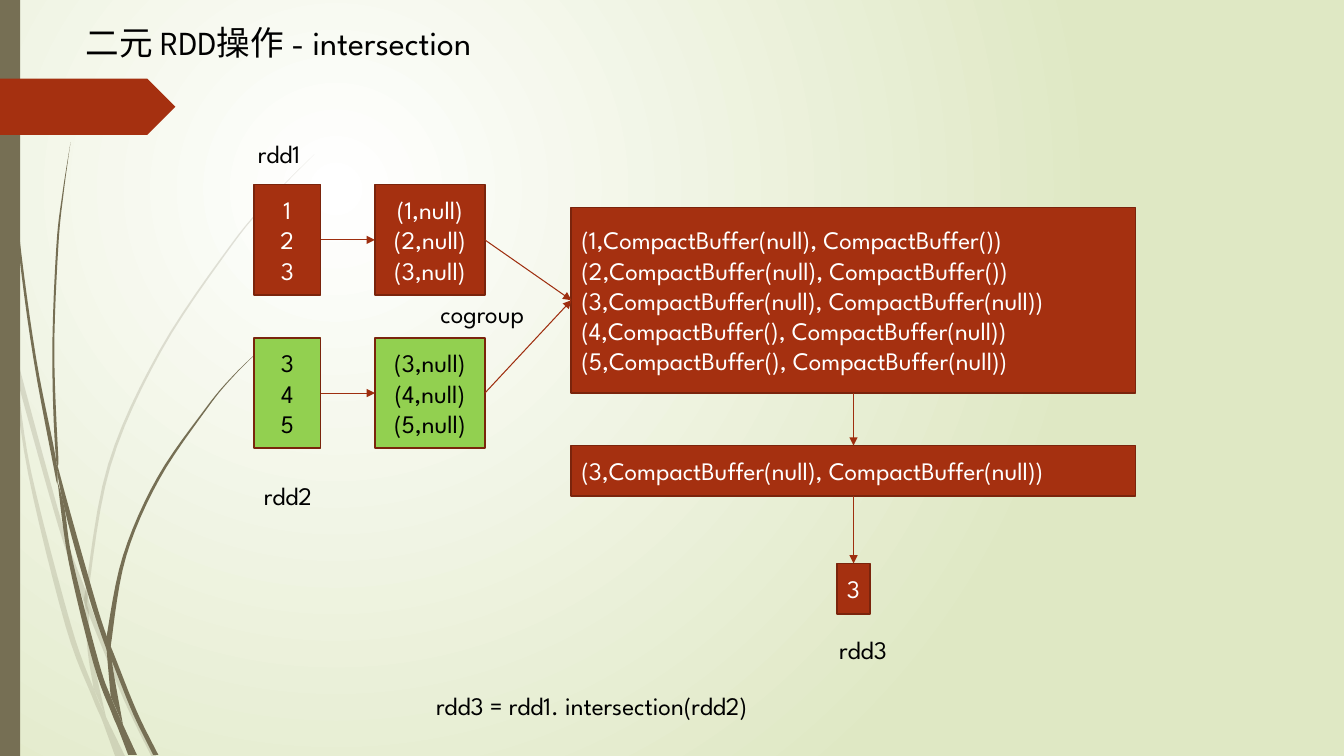
from lxml import etree
from pptx import Presentation
from pptx.dml.color import RGBColor
from pptx.enum.shapes import MSO_CONNECTOR, MSO_SHAPE
from pptx.enum.text import MSO_ANCHOR, MSO_AUTO_SIZE, PP_ALIGN
from pptx.oxml.ns import qn
from pptx.util import Cm, Pt

STRAIGHT = MSO_CONNECTOR.STRAIGHT
RECTANGLE, PENTAGON = MSO_SHAPE.RECTANGLE, MSO_SHAPE.PENTAGON
TOP, MIDDLE = MSO_ANCHOR.TOP, MSO_ANCHOR.MIDDLE
LEFT, CENTER = PP_ALIGN.LEFT, PP_ALIGN.CENTER
NO_FIT = MSO_AUTO_SIZE.NONE
TOP_SIDE, LEFT_SIDE, BOTTOM_SIDE, RIGHT_SIDE = range(4)

COLORS = {
    "white": "FFFFFF", "black": "000000", "meadow": "DFE8C4", "stem": "766F54",
    "rust": "A53010", "edge": "7A240C", "arrow": "9E2E0F", "green": "92D050",
}

PALE_STEMS = [
    ([(0, 7.16), (0.36, 8.76), (1.57, 13.21), (2.16, 14.88), (2.34, 15.42),
      (3.23, 17.58), (3.94, 19.05)],
     [(3.81, 19.05), (3.12, 17.63), (2.24, 15.49), (2.13, 15.21), (1.47, 13.26),
      (0.43, 9.55), (0.25, 8.74), (0, 7.59)]),
    ([(0.28, 8.89), (0.43, 9.55), (0.79, 11.91), (1.78, 15.72), (2.36, 17.35),
      (2.67, 18.06), (3.15, 19.05)],
     [(2.9, 19.05), (2.57, 18.14), (2.34, 17.6), (1.65, 15.77), (0.71, 11.94),
      (0.28, 8.89)]),
    ([(7.92, 3.89), (6.81, 5.03), (5.82, 6.22), (4.06, 8.86), (2.79, 11.73),
      (2.24, 14.83), (2.24, 15.44), (2.31, 16.41), (2.67, 18.06)],
     [(2.36, 17.35), (2.21, 16.41), (2.13, 15.21), (2.16, 14.83), (2.72, 11.71),
      (4.01, 8.84), (5.79, 6.2), (6.81, 5), (7.92, 3.89)]),
]
DARK_STEMS = [
    ([(0.1, 0), (0.13, 1.22), (0.2, 2.77), (0.48, 5.89), (0.91, 9.02),
      (1.4, 11.51), (1.45, 12.22)],
     [(1.42, 12.12), (0.84, 9.02), (0.43, 5.92), (0.18, 2.79), (0.1, 1.22), (0.08, 0)]),
    ([(1.45, 12.12), (1.63, 12.83), (1.83, 14.12), (2.49, 16.69), (2.79, 17.55),
      (3.1, 18.26), (3.45, 19.02)],
     [(3.23, 19.02), (2.97, 18.34), (2.82, 17.98), (2.36, 16.74), (1.73, 14.15),
      (1.45, 12.12)]),
    ([(1.78, 3.58), (1.6, 4.9), (1.47, 6.22), (1.37, 8.86), (1.47, 11.51),
      (1.52, 11.99), (2.36, 14.99), (2.69, 16.03), (2.87, 16.48), (3.45, 17.93),
      (3.99, 19.02)],
     [(3.86, 19.02), (3.35, 17.98), (2.82, 16.66), (2.69, 16.38), (2.24, 15.04),
      (1.63, 12.83), (1.4, 11.4), (1.32, 8.86), (1.42, 6.22), (1.57, 4.9),
      (1.78, 3.58)]),
    ([(6.63, 8.74), (5.87, 9.5), (5.21, 10.31), (4.01, 12.09), (3.18, 14.02),
      (2.82, 16.08), (2.82, 16.66), (3.1, 18.26)],
     [(2.79, 17.55), (2.69, 16.38), (2.69, 16.03), (3.1, 14), (3.96, 12.04),
      (5.18, 10.29), (5.87, 9.47), (6.63, 8.74)]),
]


def smooth(points, steps=6):
    padded = [points[0], *points, points[-1]]
    curve = []
    for a, b, c, d in zip(padded, padded[1:], padded[2:], padded[3:]):
        for t in (step / steps for step in range(steps)):
            curve.append(tuple(
                q + t * (r - p) / 2 + t * t * (p - 2.5 * q + 2 * r - s / 2)
                + t ** 3 * (1.5 * (q - r) + (s - p) / 2)
                for p, q, r, s in zip(a, b, c, d)))
    return curve + [points[-1]]


class Board:
    def __init__(self, slide, font, size):
        self.slide, self.shapes = slide, slide.shapes
        self.font, self.size = font, size

    def color(self, name):
        return RGBColor.from_string(COLORS[name])

    def background(self, inner, outer):
        fill = self.slide.background.fill
        fill.gradient()
        for stop, name, position in zip(fill.gradient_stops, (inner, outer), (0, 1)):
            stop.color.rgb = self.color(name)
            stop.position = position
        gradient = self.slide.element.find(".//" + qn("a:gradFill"))
        gradient.remove(gradient.find(qn("a:lin")))
        circle = etree.SubElement(gradient, qn("a:path"), {"path": "circle"})
        etree.SubElement(circle, qn("a:fillToRect"),
                         l="50000", t="50000", r="100000", b="100000")

    def set_text(self, frame, lines, color, align=LEFT, anchor=TOP, size=None):
        frame.word_wrap = True
        frame.auto_size = NO_FIT
        frame.vertical_anchor = anchor
        for index, line in enumerate(lines):
            paragraph = frame.add_paragraph() if index else frame.paragraphs[0]
            paragraph.alignment = align
            run = paragraph.add_run()
            run.text = line
            run.font.name = self.font
            run.font.size = Pt(size or self.size)
            run.font.color.rgb = self.color(color)

    def title(self, words, x, y, width, height, size):
        heading = self.shapes.title
        heading.left, heading.top = Cm(x), Cm(y)
        heading.width, heading.height = Cm(width), Cm(height)
        self.set_text(heading.text_frame, [words], "black", size=size)

    def label(self, words, x, y, width):
        caption = self.shapes.add_textbox(Cm(x), Cm(y), Cm(width), Cm(1.02))
        self.set_text(caption.text_frame, [words], "black")

    def paint(self, shape, color):
        shape.shadow.inherit = False
        shape.fill.solid()
        shape.fill.fore_color.rgb = self.color(color)
        shape.line.fill.background()

    def panel(self, x, y, width, height, color, kind=RECTANGLE):
        panel = self.shapes.add_shape(kind, Cm(x), Cm(y), Cm(width), Cm(height))
        self.paint(panel, color)
        return panel

    def box(self, lines, x, y, width, height, fill="rust", ink="white", align=LEFT):
        box = self.panel(x, y, width, height, fill)
        box.line.color.rgb = self.color("edge")
        box.line.width = Pt(1.25)
        self.set_text(box.text_frame, lines, ink, align, MIDDLE)
        return box

    def stem(self, outward, back, opacity=100):
        outline = [(Cm(x), Cm(y)) for x, y in smooth(outward) + smooth(back)]
        builder = self.shapes.build_freeform(*outline[0])
        builder.add_line_segments(outline[1:])
        blade = builder.convert_to_shape()
        self.paint(blade, "stem")
        if opacity < 100:
            tint = blade.element.spPr.find(qn("a:solidFill"))[0]
            etree.SubElement(tint, qn("a:alpha"), val=str(opacity * 1000))

    def arrow(self, source, source_side, target, target_side):
        arrow = self.shapes.add_connector(STRAIGHT, 0, 0, 0, 0)
        arrow.begin_connect(source, source_side)
        arrow.end_connect(target, target_side)
        arrow.line.color.rgb = self.color("arrow")
        arrow.line.width = Pt(0.75)
        properties = arrow.element.spPr
        etree.SubElement(properties.find(qn("a:ln")), qn("a:tailEnd"), type="triangle")
        etree.SubElement(properties, qn("a:effectLst"))


def main():
    deck = Presentation()
    deck.slide_width, deck.slide_height = Cm(33.87), Cm(19.05)
    board = Board(deck.slides.add_slide(deck.slide_layouts[5]), "League Spartan", 18)
    board.background("white", "meadow")
    for outward, back in PALE_STEMS:
        board.stem(outward, back, 20)
    for outward, back in DARK_STEMS:
        board.stem(outward, back)
    board.panel(0, 0, 0.51, 19.05, "stem")
    board.panel(0, 1.98, 4.42, 1.42, "rust", PENTAGON)
    board.title("二元 RDD操作 - intersection", 1.9, 0.43, 11.96, 1.27, 24)

    cogrouped = board.box([
        "(1,CompactBuffer(null), CompactBuffer())",
        "(2,CompactBuffer(null), CompactBuffer())",
        "(3,CompactBuffer(null), CompactBuffer(null))",
        "(4,CompactBuffer(), CompactBuffer(null))",
        "(5,CompactBuffer(), CompactBuffer(null))",
    ], 14.4, 5.23, 14.22, 4.67)
    filtered = board.box(["(3,CompactBuffer(null), CompactBuffer(null))"],
                         14.4, 11.23, 14.22, 1.27)
    result = board.box(["3"], 21.09, 14.2, 0.84, 1.27)

    for keys, y, fill, ink in (("123", 4.65, "rust", "white"),
                               ("345", 8.51, "green", "black")):
        values = board.box(keys, 6.4, y, 1.68, 2.79, fill, ink, CENTER)
        pairs = board.box([f"({key},null)" for key in keys],
                          9.45, y, 2.77, 2.79, fill, ink, CENTER)
        board.arrow(values, RIGHT_SIDE, pairs, LEFT_SIDE)
        board.arrow(pairs, RIGHT_SIDE, cogrouped, LEFT_SIDE)
    board.arrow(cogrouped, BOTTOM_SIDE, filtered, TOP_SIDE)
    board.arrow(filtered, BOTTOM_SIDE, result, TOP_SIDE)

    for words, x, y, width in (
        ("cogroup", 10.85, 7.39, 3.23),
        ("rdd1", 6.25, 3.35, 1.93),
        ("rdd2", 6.4, 11.99, 1.93),
        ("rdd3", 20.9, 15.85, 1.93),
        ("rdd3 = rdd1. intersection(rdd2)", 10.74, 17.27, 10.16),
    ):
        board.label(words, x, y, width)
    deck.save("out.pptx")


if __name__ == "__main__":
    main()
